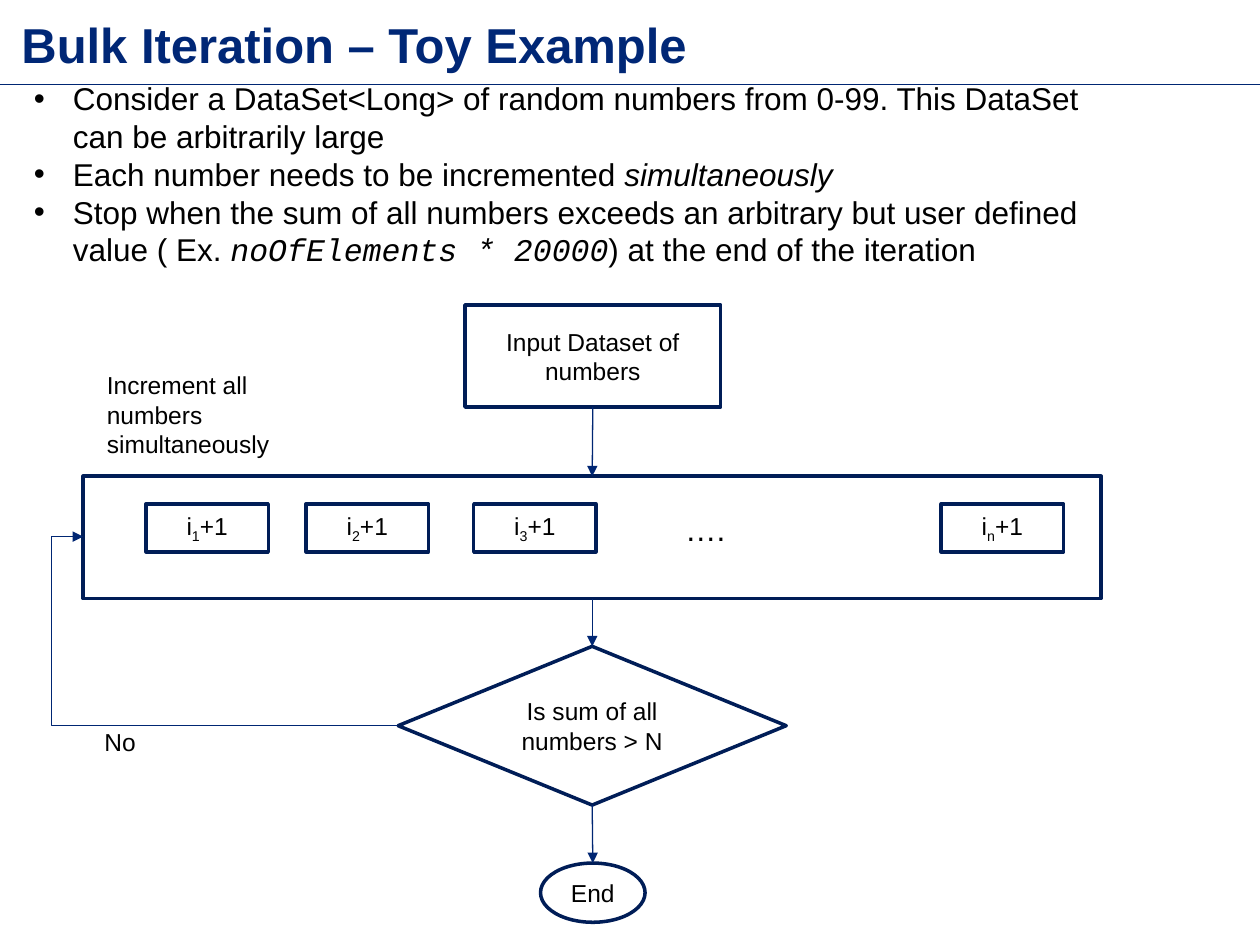
from lxml.etree import SubElement
from pptx import Presentation
from pptx.dml.color import RGBColor
from pptx.enum.shapes import MSO_CONNECTOR, MSO_SHAPE
from pptx.enum.text import MSO_ANCHOR, PP_ALIGN
from pptx.oxml.ns import qn
from pptx.util import Inches, Pt

COLORS = {"title": "002776", "rule": "002673", "outline": "001D57", "text": "000000"}
FONT, CODE_FONT = "Arial", "Courier New"

TITLE = "Bulk Iteration – Toy Example"
BULLETS = [
    [("Consider a DataSet<Long> of random numbers from 0-99. "
      "This DataSet can be arbitrarily large", "plain")],
    [("Each number needs to be incremented ", "plain"), ("simultaneously", "italic")],
    [("Stop when the sum of all numbers exceeds an arbitrary but user defined value ( Ex. ", "plain"),
     ("noOfElements * 20000", "code"),
     (") at the end of the iteration", "plain")],
]
FLOW = [
    ("Input Dataset of numbers", MSO_SHAPE.FLOWCHART_PROCESS, 3.69, 2.42, 2.03, 0.81),
    ("", MSO_SHAPE.RECTANGLE, 0.66, 3.78, 8.08, 0.97),
    ("Is sum of all numbers > N", MSO_SHAPE.FLOWCHART_DECISION, 3.16, 5.13, 3.08, 1.26),
    ("End", MSO_SHAPE.OVAL, 4.29, 6.85, 0.83, 0.47),
]
INCREMENTS = [("1", 1.16), ("2", 2.43), ("3", 3.76), ("n", 7.47)]
LABELS = [
    ("….", 5.34, 4, 1.16, 0.34, 18),
    ("Increment all numbers simultaneously", 0.75, 2.89, 1.86, 0.81, 14),
    ("No", 0.73, 5.72, 1.5, 0.34, 14),
]


def rgb(name):
    return RGBColor.from_string(COLORS[name])


def style(r, size, color="text", font=FONT):
    r.font.size = Pt(size)
    r.font.name = font
    r.font.color.rgb = rgb(color)


def add_run(p, text, size, font=FONT):
    r = p.add_run()
    r.text = text
    style(r, size, font=font)
    return r


def add_text(slide, x, y, w, h):
    tf = slide.shapes.add_textbox(*map(Inches, (x, y, w, h))).text_frame
    tf.word_wrap = True
    return tf


def add_node(slide, kind, x, y, w, h):
    sp = slide.shapes.add_shape(kind, *map(Inches, (x, y, w, h)))
    sp.shadow.inherit = False
    sp.fill.background()
    sp.line.color.rgb = rgb("outline")
    sp.line.width = Pt(2)
    tf = sp.text_frame
    tf.word_wrap = True
    tf.vertical_anchor = MSO_ANCHOR.MIDDLE
    tf.paragraphs[0].alignment = PP_ALIGN.CENTER
    return sp


def add_line(slide, kind, x1, y1, x2, y2, arrow=True):
    line = slide.shapes.add_connector(kind, *map(Inches, (x1, y1, x2, y2)))
    line.line.color.rgb = rgb("rule")
    line.line.width = Pt(0.75)
    if arrow:
        SubElement(line.line._get_or_add_ln(), qn("a:tailEnd"), type="triangle")
    SubElement(line._element.spPr, qn("a:effectLst"))
    return line


def add_title(slide):
    tf = add_text(slide, 0.17, 0.17, 9.11, 0.29)
    tf.margin_left = tf.margin_right = tf.margin_top = tf.margin_bottom = 0
    p = tf.paragraphs[0]
    p.text = TITLE
    p.line_spacing = 0.9
    style(p.runs[0], 28, "title")
    p.runs[0].font.bold = True
    add_line(slide, MSO_CONNECTOR.STRAIGHT, 0, 0.67, 10, 0.67, arrow=False)


def add_bullets(slide):
    tf = add_text(slide, 0.17, 0.58, 8.75, 2.22)
    for i, parts in enumerate(BULLETS):
        p = tf.add_paragraph() if i else tf.paragraphs[0]
        pPr = p._p.get_or_add_pPr()
        pPr.set("marL", str(Inches(0.31)))
        pPr.set("indent", str(-Inches(0.31)))
        SubElement(pPr, qn("a:buFont"), typeface=FONT)
        SubElement(pPr, qn("a:buChar"), char="•")
        for text, look in parts:
            r = add_run(p, text, 18, CODE_FONT if look == "code" else FONT)
            r.font.italic = look != "plain"


def add_flow(slide):
    nodes = []
    for text, *place in FLOW:
        sp = add_node(slide, *place)
        if text:
            add_run(sp.text_frame.paragraphs[0], text, 14)
        nodes.append(sp)
    for upper, lower in zip(nodes, nodes[1:]):
        arrow = add_line(slide, MSO_CONNECTOR.STRAIGHT, 0, 0, 0, 0)
        arrow.begin_connect(upper, 4 if upper is nodes[-1] else 2)
        arrow.end_connect(lower, 0)

    for index, x in INCREMENTS:
        p = add_node(slide, MSO_SHAPE.FLOWCHART_PROCESS, x, 4, 0.97, 0.38).text_frame.paragraphs[0]
        add_run(p, "i", 14)
        sub = add_run(p, index, 14)
        sub.font._element.set("baseline", "-25000")
        add_run(p, "+1", 14)

    loop = add_line(slide, MSO_CONNECTOR.ELBOW, 3.16, 5.76, 0.66, 4.26)
    guides = loop._element.spPr.find(qn("a:prstGeom")).find(qn("a:avLst"))
    SubElement(guides, qn("a:gd"), name="adj1", fmla="val 110000")


def main():
    prs = Presentation()
    prs.slide_width, prs.slide_height = Inches(10), Inches(7.5)
    slide = prs.slides.add_slide(prs.slide_layouts[6])
    add_title(slide)
    add_bullets(slide)
    add_flow(slide)
    for text, x, y, w, h, size in LABELS:
        add_run(add_text(slide, x, y, w, h).paragraphs[0], text, size)
    prs.save("out.pptx")


if __name__ == "__main__":
    main()
